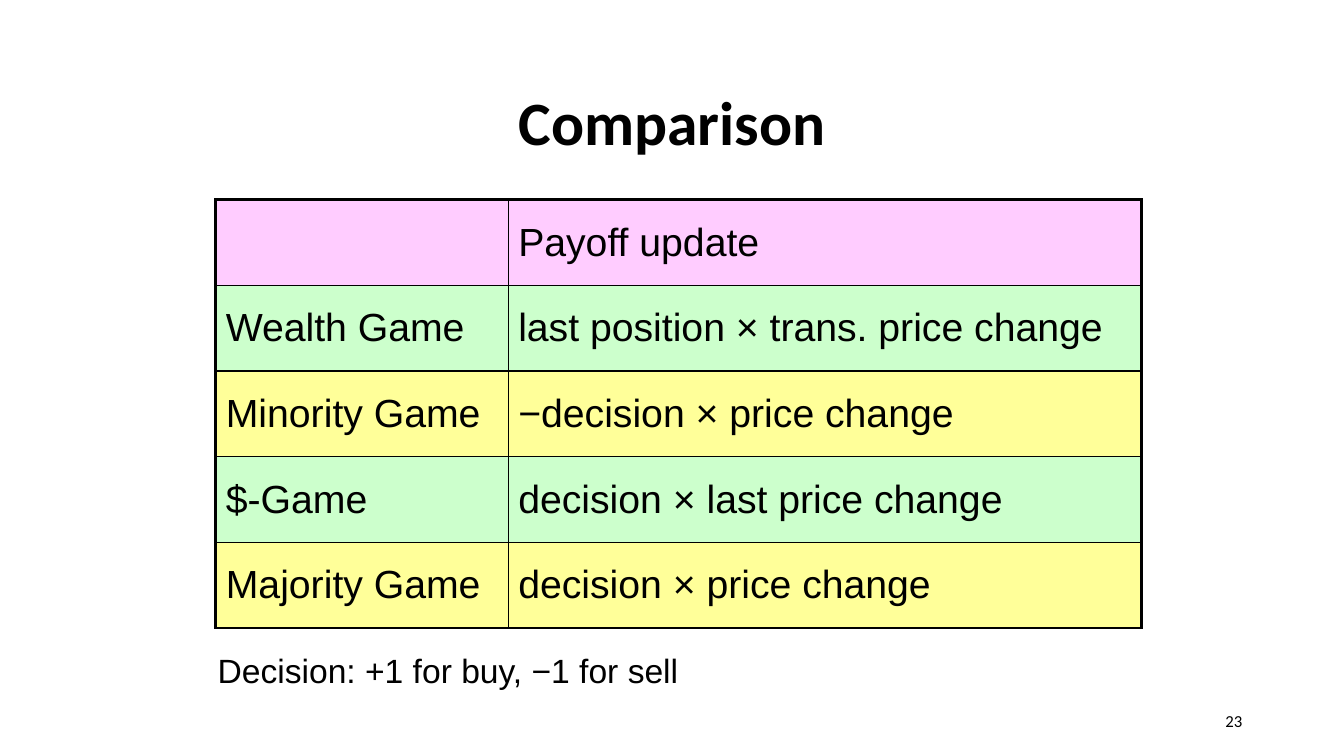
from lxml.etree import SubElement
from pptx import Presentation
from pptx.dml.color import RGBColor
from pptx.enum.text import MSO_ANCHOR, PP_ALIGN
from pptx.oxml.ns import qn
from pptx.util import Inches, Pt


def style(para, size, face, color="000000"):
    para.font.size = Pt(size)
    para.font.name = face
    para.font.color.rgb = RGBColor.from_string(color)


def edge(cell, side, width, color="000000"):
    """Draw one cell border; call before the cell is filled."""
    line = SubElement(cell._tc.get_or_add_tcPr(), qn("a:ln" + side), w=str(Pt(width)))
    fill = SubElement(line, qn("a:solidFill"))
    SubElement(fill, qn("a:srgbClr"), val=color)


prs = Presentation()
prs.slide_width, prs.slide_height = Inches(13.33), Inches(7.5)
slide = prs.slides.add_slide(prs.slide_layouts[5])

# Title
title = slide.shapes.title
title.left, title.top = Inches(0.67), Inches(0.5)
title.width, title.height = Inches(12), Inches(1.5)
title.text_frame.text = "Comparison"
title.text_frame.vertical_anchor = MSO_ANCHOR.MIDDLE
head = title.text_frame.paragraphs[0]
head.alignment = PP_ALIGN.CENTER
head.line_spacing = 0.9
style(head, 44, "Calibri")
head.font.bold = True

# Table of games
rows = [
    ("", "Payoff update"),
    ("Wealth Game", "last position × trans. price change"),
    ("Minority Game", "−decision × price change"),
    ("$-Game", "decision × last price change"),
    ("Majority Game", "decision × price change"),
]
fills = ["FFCCFF"] + ["CCFFCC", "FFFF99"] * 2
thin, thick = 1, 2.25
table = slide.shapes.add_table(
    len(rows), 2, Inches(2.14), Inches(1.98), Inches(9.18), Inches(4.25)
).table
table.first_row = table.horz_banding = False
for col, width in zip(table.columns, (2.9, 6.28)):
    col.width = Inches(width)

for r, texts in enumerate(rows):
    table.rows[r].height = Inches(0.85)
    for c, text in enumerate(texts):
        cell = table.cell(r, c)
        outer = {"L": c == 0, "R": c == 1, "T": r == 0, "B": r == len(rows) - 1}
        for side, rim in outer.items():
            edge(cell, side, thick if rim else thin)
        cell.fill.solid()
        cell.fill.fore_color.rgb = RGBColor.from_string(fills[r])
        cell.vertical_anchor = MSO_ANCHOR.MIDDLE
        cell.text = text
        style(cell.text_frame.paragraphs[0], 28, "Arial")

# Note below the table and page number
notes = [
    ("Decision: +1 for buy, −1 for sell", 2.06, 6.4, 6.42, 0.5,
     24, "Arial", PP_ALIGN.LEFT, MSO_ANCHOR.TOP),
    ("23", 9.42, 6.95, 3, 0.4,
     12, "Calibri", PP_ALIGN.RIGHT, MSO_ANCHOR.MIDDLE),
]
for text, x, y, w, h, size, face, align, anchor in notes:
    frame = slide.shapes.add_textbox(Inches(x), Inches(y), Inches(w), Inches(h)).text_frame
    frame.word_wrap = True
    frame.vertical_anchor = anchor
    frame.text = text
    para = frame.paragraphs[0]
    para.alignment = align
    style(para, size, face)

prs.save("out.pptx")
